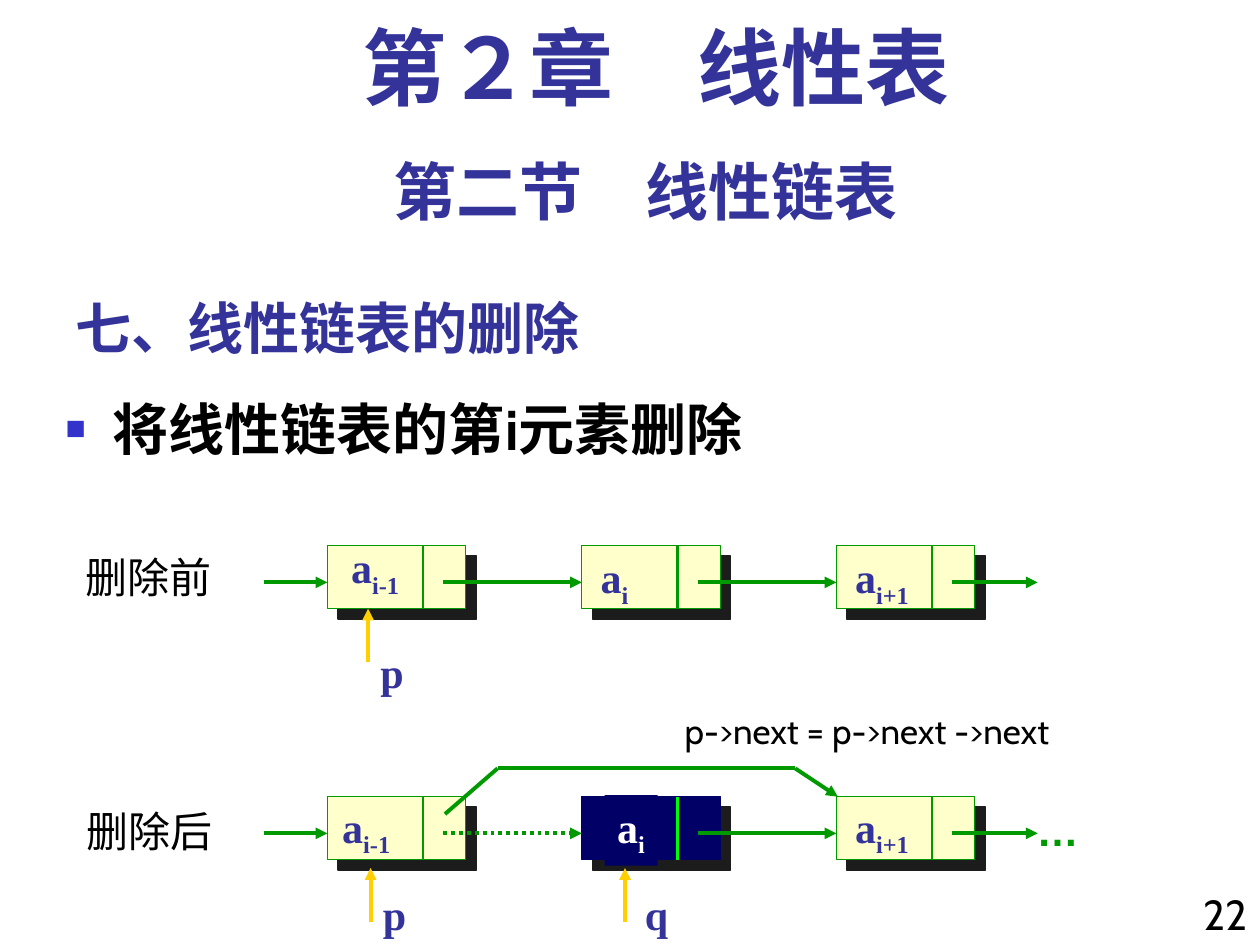
import lxml.etree
import pptx
import pptx.dml.color
import pptx.enum.dml
import pptx.enum.shapes
import pptx.enum.text
import pptx.oxml.ns
import pptx.util

Cm = pptx.util.Cm
Pt = pptx.util.Pt
qn = pptx.oxml.ns.qn
color = pptx.dml.color.RGBColor.from_string
ALIGN = pptx.enum.text.PP_ALIGN
SERIF, SANS, CJK = "Times New Roman", "Cabin", "Noto Sans CJK SC"
BLUE, BLACK, GREEN, NAVY, AMBER = "333399", "000000", "009900", "000066", "FFCF01"


def write(frame, text, size, font, hex_color, bold=False, subscript="", align=ALIGN.LEFT):
    paragraph = frame.paragraphs[0]
    paragraph.alignment = align
    for content in filter(None, (text, subscript)):
        run = paragraph.add_run()
        run.text = content
        run.font.size = Pt(size)
        run.font.name = font
        run.font.bold = bold
        run.font.color.rgb = color(hex_color)
        properties = run._r.get_or_add_rPr()
        lxml.etree.SubElement(properties, qn("a:ea")).set("typeface", CJK)
        if content == subscript:
            properties.set("baseline", "-25000")
    return paragraph


def add_line(x1, y1, x2, y2, hex_color=GREEN, width=2.25, arrow=True):
    line = slide.shapes.add_connector(
        pptx.enum.shapes.MSO_CONNECTOR.STRAIGHT, Cm(x1), Cm(y1), Cm(x2), Cm(y2))
    line.line.color.rgb = color(hex_color)
    line.line.width = Pt(width)
    if arrow:
        lxml.etree.SubElement(line.line._get_or_add_ln(), qn("a:tailEnd")).set("type", "triangle")
    lxml.etree.SubElement(line._element.spPr, qn("a:effectLst"))
    return line


presentation = pptx.Presentation()
presentation.slide_width = Cm(25.4)
presentation.slide_height = Cm(19.05)
slide = presentation.slides.add_slide(presentation.slide_layouts[1])

title, body = slide.placeholders
for placeholder, box in ((title, (1.27, 5.5, 15.88, 1.9)), (body, (1.07, 7.82, 24.33, 4.01))):
    placeholder.left, placeholder.top, placeholder.width, placeholder.height = map(Cm, box)
    placeholder.text_frame.auto_size = pptx.enum.text.MSO_AUTO_SIZE.NONE
title.text_frame.vertical_anchor = pptx.enum.text.MSO_ANCHOR.BOTTOM
write(title.text_frame, "七、线性链表的删除", 32, CJK, BLUE, True)

item = write(body.text_frame, "将线性链表的第i元素删除", 32, SANS, BLACK, True)
item.space_before = Pt(12)
item_properties = item._p.get_or_add_pPr()
item_properties.set("marL", str(Cm(0.95)))
item_properties.set("indent", str(Cm(-0.95)))
bullet_color = lxml.etree.SubElement(item_properties, qn("a:buClr"))
lxml.etree.SubElement(bullet_color, qn("a:srgbClr")).set("val", "3333CC")
for tag, name, value in (("a:buSzPct", "val", "60000"), ("a:buFont", "typeface", "Arial"),
                         ("a:buChar", "char", "■")):
    lxml.etree.SubElement(item_properties, qn(tag)).set(name, value)

for text, box, size, font, hex_color, bold, align, before, spacing in (
    ("第２章　线性表", (1.69, 0.42, 23.07, 2.12), 48, SERIF, BLUE, True, ALIGN.CENTER, 12, 0.9),
    ("第二节　线性链表", (1.27, 2.96, 23.5, 1.78), 36, SANS, BLUE, True, ALIGN.CENTER, 22.5, 1),
    ("22", (23.71, 17.78, 1.69, 1.5), 24, SANS, BLACK, False, ALIGN.RIGHT, 15, 1),
    ("删除前", (1.48, 11, 4.23, 1.27), 24, SANS, BLACK, False, ALIGN.LEFT, 15, 1),
    ("删除后", (1.5, 16.12, 3.18, 1.27), 24, SANS, BLACK, False, ALIGN.LEFT, 15, 1),
    ("p->next = p->next ->next", (13.55, 14.18, 10.8, 1.11), 20, SANS, BLACK, False,
     ALIGN.LEFT, 12.5, 1),
):
    textbox = slide.shapes.add_textbox(*map(Cm, box))
    textbox.text_frame.word_wrap = True
    paragraph = write(textbox.text_frame, text, size, font, hex_color, bold, align=align)
    paragraph.space_before = Pt(before)
    paragraph.line_spacing = spacing

node_left, node_pitch, node_width, node_height = 6.6, 5.13, 2.79, 1.27
for row_top, deleted in ((11, False), (16.06, True)):
    link_y = row_top + 0.74
    add_line(5.32, link_y, node_left, link_y)
    for index in range(3):
        left = node_left + index * node_pitch
        removed = deleted and index == 1
        node = slide.shapes.add_shape(
            pptx.enum.shapes.MSO_SHAPE.RECTANGLE,
            Cm(left), Cm(row_top), Cm(node_width), Cm(node_height))
        node.fill.solid()
        node.fill.fore_color.rgb = color(NAVY if removed else "FFFFCC")
        node.line.color.rgb = color(NAVY if removed else GREEN)
        node.line.width = Pt(0.75)
        node.shadow.inherit = False
        shadow = lxml.etree.SubElement(
            node._element.spPr.find(qn("a:effectLst")), qn("a:outerShdw"),
            dist=str(Pt(8.5)), dir="2700000", algn="ctr", rotWithShape="0")
        lxml.etree.SubElement(shadow, qn("a:srgbClr")).set("val", "1C1C1C")

        divider = left + 1.93
        add_line(divider, row_top, divider, row_top + node_height,
                 "00FF00" if removed else GREEN, 1.5, False)
        link_end = left + (node_pitch if index < 2 else 4.06)
        link = add_line(left + 2.34, link_y, link_end, link_y)
        if deleted and index == 0:
            link.line.dash_style = pptx.enum.dml.MSO_LINE.ROUND_DOT

bypass = ((8.97, 16.41), (10.03, 15.49), (16.03, 15.49), (16.89, 16.06))
for index, (start, end) in enumerate(zip(bypass, bypass[1:])):
    add_line(*start, *end, arrow=index == 2)

for x, bottom, top in ((7.42, 13.34, 12.27), (7.47, 18.59, 17.5), (12.6, 18.59, 17.5)):
    add_line(x, bottom, x, top, AMBER)

for text, subscript, left, top, width, font, hex_color, fill in (
    ("a", "i-1", 6.83, 10.8, 1.6, SERIF, BLUE, None),
    ("a", "i", 11.86, 11, 1.07, SERIF, BLUE, None),
    ("a", "i+1", 16.99, 11, 1.8, SERIF, BLUE, None),
    ("a", "i-1", 6.65, 16.03, 1.6, SERIF, BLUE, None),
    ("a", "i", 12.19, 16.03, 1.07, SERIF, "FFFFFF", NAVY),
    ("a", "i+1", 16.99, 16.03, 1.8, SERIF, BLUE, None),
    ("p", "", 7.42, 12.9, 0.97, SERIF, BLUE, None),
    ("p", "", 7.47, 17.78, 0.97, SERIF, BLUE, None),
    ("q", "", 12.75, 17.78, 0.97, SERIF, BLUE, None),
    ("…", "", 20.65, 16.1, 1.35, "Arial", GREEN, None),
):
    label = slide.shapes.add_textbox(Cm(left), Cm(top), Cm(width), Cm(1.42 if subscript else 1.27))
    label.text_frame.word_wrap = False
    write(label.text_frame, text, 24, font, hex_color, True, subscript)
    if fill:
        label.fill.solid()
        label.fill.fore_color.rgb = color(fill)

presentation.save("out.pptx")
